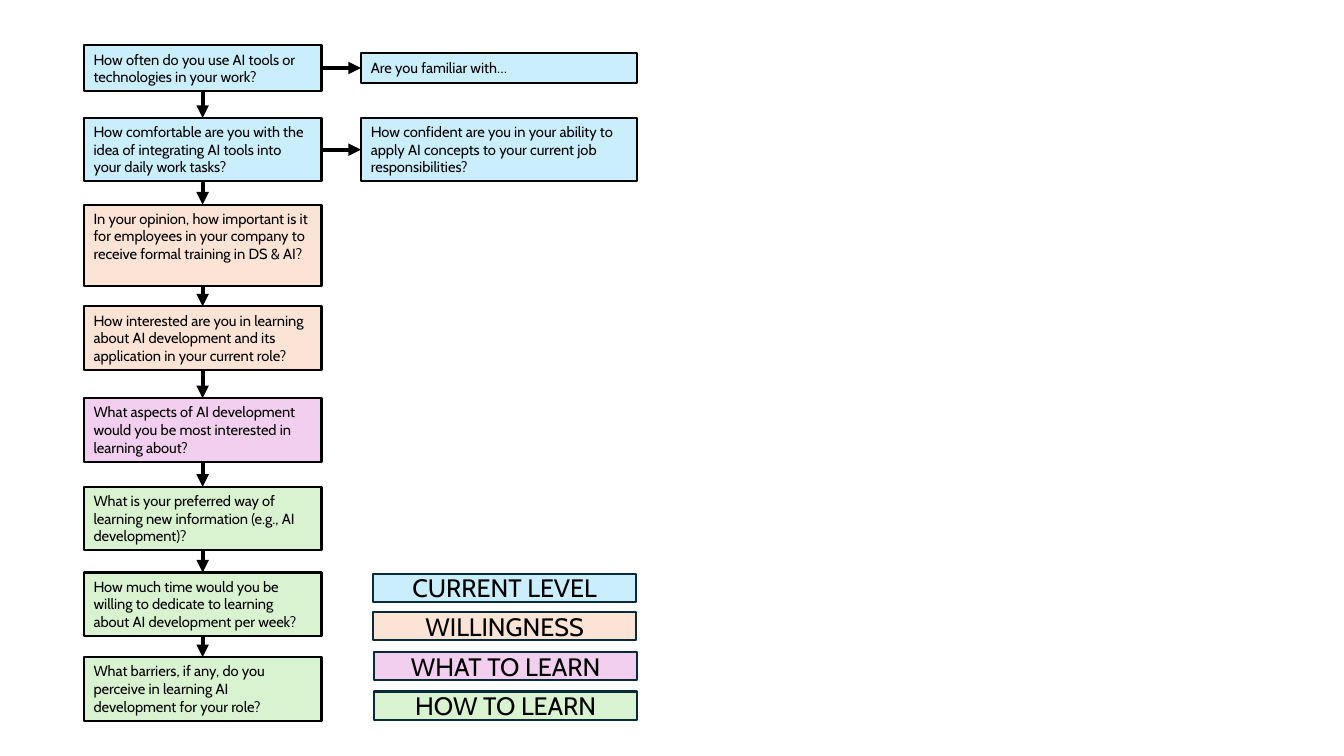
from pptx import Presentation
from pptx.util import Inches, Pt
from pptx.dml.color import RGBColor
from pptx.enum.shapes import MSO_SHAPE as Shape, MSO_CONNECTOR as Link
from pptx.enum.text import MSO_ANCHOR as Anchor, MSO_AUTO_SIZE as Fit, PP_ALIGN as Align
from pptx.oxml.ns import qn
from lxml.etree import SubElement

BLUE, PEACH, PINK, GREEN = "CAEEFB", "FBE3D6", "F2CFEE", "D9F2D0"
BLACK, NAVY = "000000", "092A39"
TOP, LEFT, BOTTOM, RIGHT = range(4)

deck = Presentation()
deck.slide_width, deck.slide_height = Inches(13.33), Inches(7.5)
slide = deck.slides.add_slide(deck.slide_layouts[6])


def add_box(text, x, y, w, h, fill, edge, size, align, anchor, fit):
    box = slide.shapes.add_shape(Shape.RECTANGLE, Inches(x), Inches(y), Inches(w), Inches(h))
    box.shadow.inherit = False
    box.fill.solid()
    box.fill.fore_color.rgb = RGBColor.from_string(fill)
    box.line.color.rgb = RGBColor.from_string(edge)
    box.line.width = Pt(1.5)
    frame = box.text_frame
    frame.text = text
    frame.word_wrap = True
    frame.auto_size = fit
    frame.vertical_anchor = anchor
    para = frame.paragraphs[0]
    para.alignment = align
    font = para.runs[0].font
    font.name, font.size = "Cabin", Pt(size)
    font.color.rgb = RGBColor.from_string(BLACK)
    return box


def add_arrow(start, out, end, into):
    arrow = slide.shapes.add_connector(Link.STRAIGHT, 0, 0, 0, 0)
    arrow.begin_connect(start, out)
    arrow.end_connect(end, into)
    arrow.line.color.rgb = RGBColor.from_string(BLACK)
    arrow.line.width = Pt(3)
    SubElement(arrow.line._get_or_add_ln(), qn("a:tailEnd"), type="triangle")
    SubElement(arrow._element.spPr, qn("a:effectLst"))


main = [
    ("How often do you use AI tools or technologies in your work?", 0.45, 0.45, BLUE),
    ("How comfortable are you with the idea of integrating AI tools into your daily work tasks?",
     1.17, 0.63, BLUE),
    ("In your opinion, how important is it for employees in your company to receive formal "
     "training in DS & AI?", 2.03, 0.81, PEACH),
    ("How interested are you in learning about AI development and its application in your "
     "current role?", 3.04, 0.63, PEACH),
    ("What aspects of AI development would you be most interested in learning about?",
     3.95, 0.63, PINK),
    ("What is your preferred way of learning new information (e.g., AI development)?",
     4.83, 0.63, GREEN),
    ("How much time would you be willing to dedicate to learning about AI development per week?",
     5.68, 0.63, GREEN),
    ("What barriers, if any, do you perceive in learning AI development for your role?",
     6.52, 0.63, GREEN),
]
side = [
    ("Are you familiar with…", 0.53, 0.29, BLUE),
    ("How confident are you in your ability to apply AI concepts to your current job "
     "responsibilities?", 1.17, 0.63, BLUE),
]
steps, asides = [
    [add_box(text, x, y, w, h, fill, BLACK, 10.5, Align.LEFT, Anchor.TOP, Fit.SHAPE_TO_FIT_TEXT)
     for text, y, h, fill in group]
    for group, x, w in ((main, 0.83, 2.36), (side, 3.58, 2.74))
]

for upper, lower in zip(steps, steps[1:]):
    add_arrow(upper, BOTTOM, lower, TOP)
for step, aside in zip(steps, asides):
    add_arrow(step, RIGHT, aside, LEFT)

legend = [
    ("CURRENT LEVEL", 3.7, 5.69, BLUE),
    ("WILLINGNESS", 3.7, 6.07, PEACH),
    ("WHAT TO LEARN", 3.71, 6.47, PINK),
    ("HOW TO LEARN", 3.71, 6.86, GREEN),
]
for text, x, y, fill in legend:
    add_box(text, x, y, 2.61, 0.28, fill, NAVY, 18, Align.CENTER, Anchor.MIDDLE, Fit.NONE)

deck.save("out.pptx")
